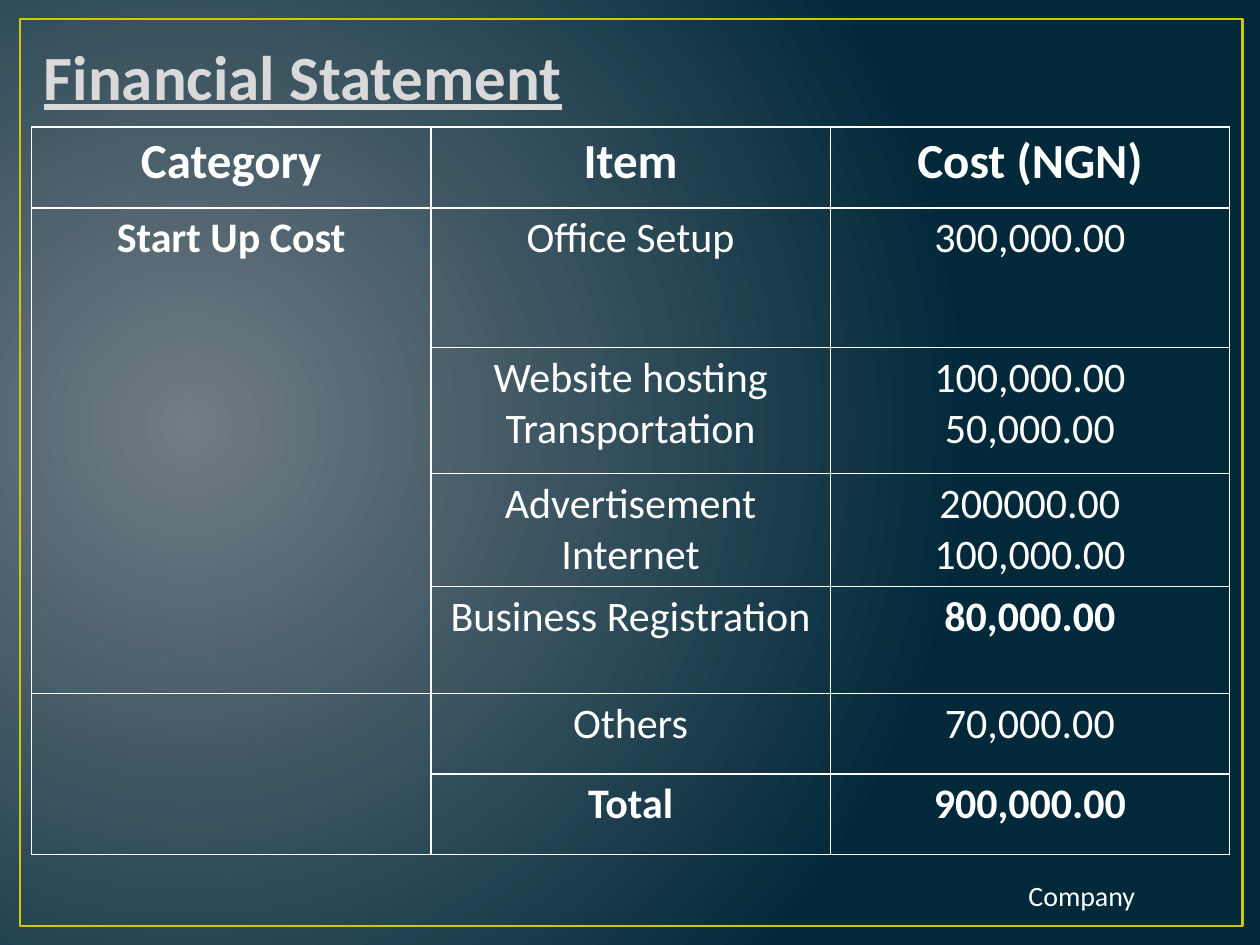
from lxml import etree
from pptx import Presentation
from pptx.dml.color import RGBColor
from pptx.enum.shapes import MSO_SHAPE
from pptx.enum.text import PP_ALIGN
from pptx.oxml import parse_xml
from pptx.oxml.ns import nsdecls, qn
from pptx.util import Inches, Pt

WHITE = RGBColor(0xFF, 0xFF, 0xFF)
TITLE_GREY = RGBColor(0xD9, 0xD9, 0xD9)
FRAME_YELLOW = RGBColor(0xCF, 0xC6, 0x0D)
GLOW_GREY = RGBColor(0x71, 0x7C, 0x84)
DEEP_BLUE = RGBColor(0x01, 0x29, 0x3A)
FONT = "Calibri"

TITLE = "Financial Statement"
FOOTER = "Company"
ROWS = [
    ("Category", "Item", "Cost (NGN)"),
    ("Start Up Cost", "Office Setup", "300,000.00"),
    ("", "Website hosting\nTransportation", "100,000.00\n50,000.00"),
    ("", "Advertisement\nInternet", "200000.00\n100,000.00"),
    ("", "Business Registration", "80,000.00"),
    ("", "Others", "70,000.00"),
    ("", "Total", "900,000.00"),
]
ROW_HEIGHTS = [0.64, 1.11, 1, 0.89, 0.85, 0.64, 0.64]
COLUMN_WIDTH = 3.17
CATEGORY_SPANS = [(1, 4), (5, 6)]
BOLD_CELLS = {(0, 0), (0, 1), (0, 2), (1, 0), (4, 2), (6, 1), (6, 2)}


def style(span, size, color, bold=False):
    span.font.name = FONT
    span.font.size = Pt(size)
    span.font.color.rgb = color
    span.font.bold = bold


def paint_background(page):
    """Radial glow, centred left of the middle."""
    fill = page.background.fill
    fill.gradient()
    for stop, color, position in zip(fill.gradient_stops, (GLOW_GREY, DEEP_BLUE), (0, 1)):
        stop.color.rgb = color
        stop.position = position
    gradient = page.element.find(".//" + qn("a:gradFill"))
    gradient.replace(gradient.find(qn("a:lin")), parse_xml(
        f'<a:path {nsdecls("a")} path="circle">'
        '<a:fillToRect l="15000" t="50000" r="85000" b="60000"/></a:path>'))


def add_borders(cell):
    properties = cell._tc.get_or_add_tcPr()
    for side in ("lnL", "lnR", "lnT", "lnB"):
        line = etree.SubElement(properties, qn(f"a:{side}"), w=str(Pt(1)))
        fill = etree.SubElement(line, qn("a:solidFill"))
        etree.SubElement(fill, qn("a:srgbClr"), val=str(WHITE))


def add_text_box(page, text, left, top, width, height):
    box = page.shapes.add_textbox(Inches(left), Inches(top), Inches(width), Inches(height))
    box.text_frame.word_wrap = True
    box.text_frame.text = text
    return box.text_frame


def add_cost_table(page):
    columns = len(ROWS[0])
    table = page.shapes.add_table(
        len(ROWS), columns, Inches(0.25), Inches(1.01),
        Inches(COLUMN_WIDTH * columns), Inches(sum(ROW_HEIGHTS))).table
    table.first_row = table.horz_banding = False
    for column in table.columns:
        column.width = Inches(COLUMN_WIDTH)
    for row, height in zip(table.rows, ROW_HEIGHTS):
        row.height = Inches(height)
    for first, last in CATEGORY_SPANS:
        table.cell(first, 0).merge(table.cell(last, 0))

    for r, texts in enumerate(ROWS):
        for c, text in enumerate(texts):
            cell = table.cell(r, c)
            add_borders(cell)
            cell.fill.background()
            cell.margin_left = cell.margin_right = Inches(0.07)
            cell.margin_top = cell.margin_bottom = Inches(0.04)
            if not text:
                continue
            cell.text_frame.text = text
            for para in cell.text_frame.paragraphs:
                para.alignment = PP_ALIGN.CENTER
                style(para.runs[0], 24 if r else 28, WHITE, (r, c) in BOLD_CELLS)


def main():
    deck = Presentation()
    deck.slide_width, deck.slide_height = Inches(10), Inches(7.5)
    page = deck.slides.add_slide(deck.slide_layouts[6])
    paint_background(page)

    frame = page.shapes.add_shape(
        MSO_SHAPE.RECTANGLE, Inches(0.16), Inches(0.15), Inches(9.7), Inches(7.2))
    frame.shadow.inherit = False
    frame.fill.background()
    frame.line.color.rgb = FRAME_YELLOW
    frame.line.width = Pt(1.5)

    add_cost_table(page)

    title = add_text_box(page, TITLE, 0.25, 0.25, 6.09, 0.71)
    heading = title.paragraphs[0].runs[0]
    style(heading, 36, TITLE_GREY, bold=True)
    heading.font.underline = True

    footer = add_text_box(page, FOOTER, 5.83, 6.92, 3.81, 0.4)
    footer.margin_right = Inches(0.63)
    para = footer.paragraphs[0]
    para.alignment = PP_ALIGN.RIGHT
    style(para.runs[0], 16, WHITE)

    deck.save("out.pptx")


if __name__ == "__main__":
    main()
